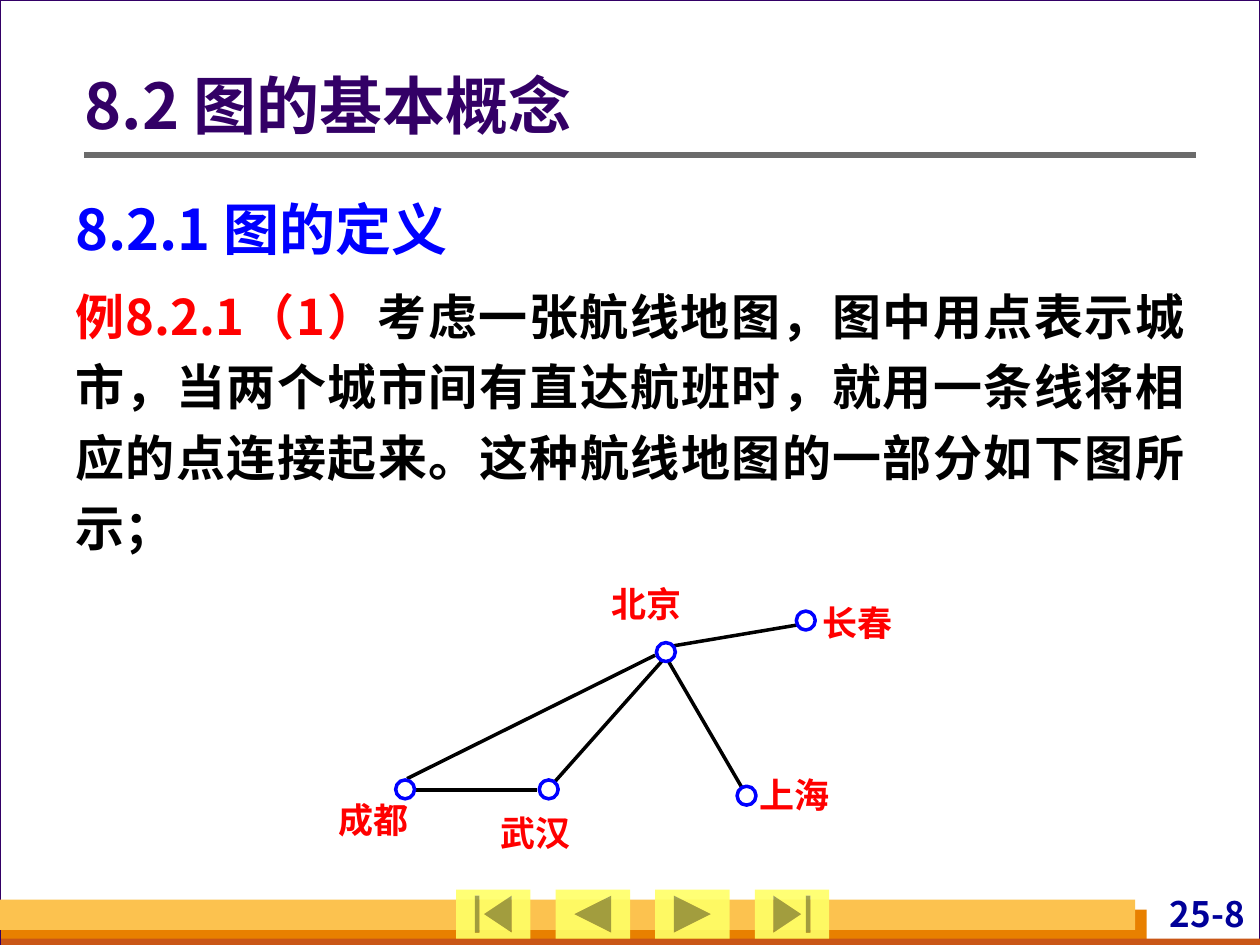
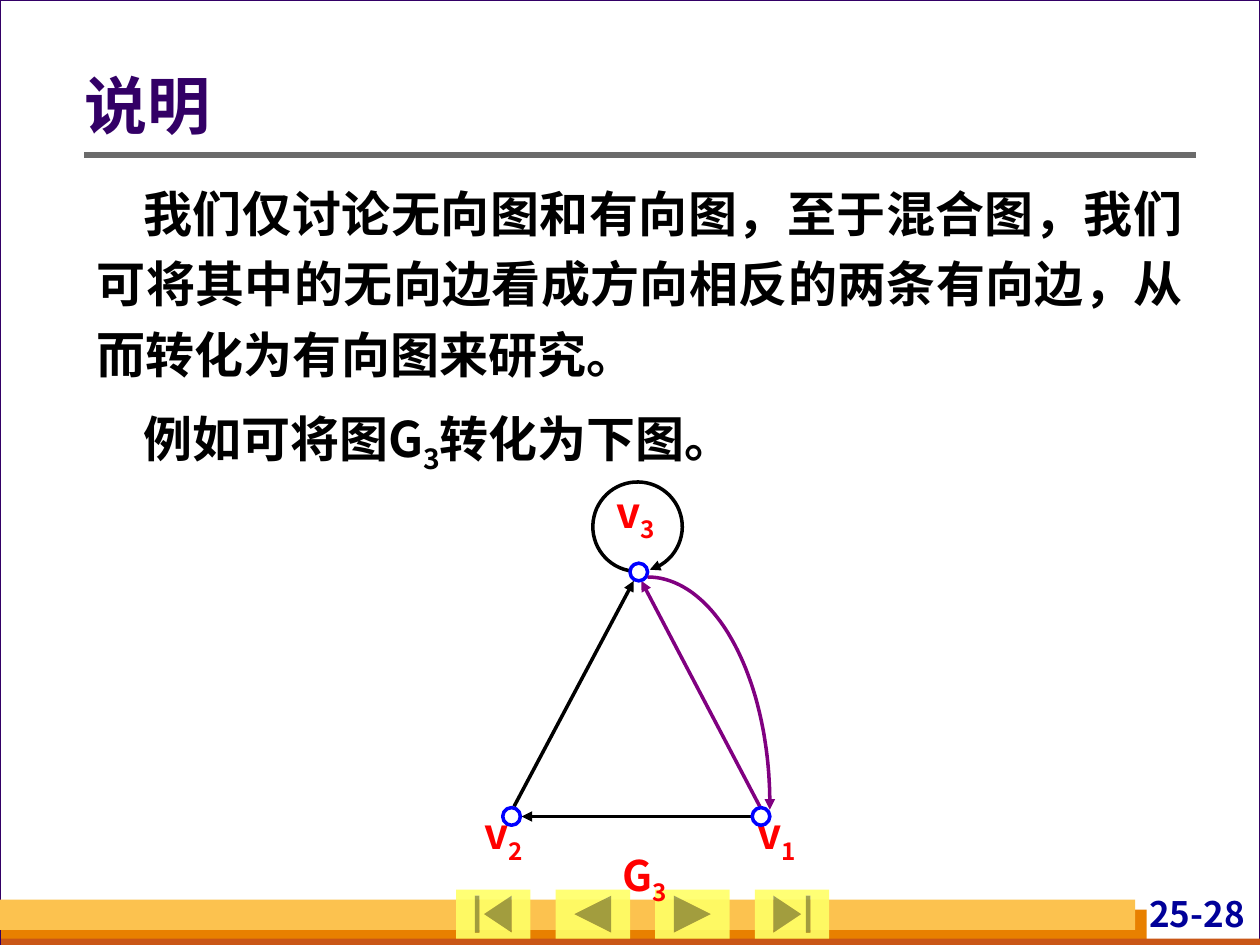
"""Build two slides on graph basics with a shared frame, title style and footer."""
import math
from dataclasses import dataclass

from lxml import etree
from pptx import Presentation
from pptx import util as u
from pptx.dml.color import RGBColor
from pptx.enum import shapes, text
from pptx.oxml.ns import qn

PX = 9144
KIND = shapes.MSO_SHAPE
ALIGN = text.PP_ALIGN


@dataclass(frozen=True)
class Theme:
    """Colours, fonts and type sizes."""
    back: str = "D8DADA"
    white: str = "FFFFFF"
    black: str = "000000"
    plum: str = "330066"
    navy: str = "000099"
    blue: str = "0000FF"
    red: str = "FF0000"
    purple: str = "800080"
    grey: str = "6B6B6B"
    amber: str = "FCC24F"
    orange: str = "E88000"
    rust: str = "C95616"
    lemon: str = "FFFF66"
    sans: str = "Noto Sans CJK SC"
    serif: str = "Times New Roman"
    title: int = 36
    head: int = 32
    body: int = 28
    mark: int = 24
    small: int = 20


T = Theme()


def rgb(code):
    """Turn a hex code into a colour."""
    return RGBColor.from_string(code)


def write(para, words, size=T.body, color=T.black, font=T.sans, base=0):
    """Add one bold run in the given format."""
    run = para.add_run()
    run.text = words
    run.font.size = u.Pt(size)
    run.font.bold = True
    run.font.color.rgb = rgb(color)
    run.font.name = font
    props = run.font._element
    etree.SubElement(props, qn("a:ea"), typeface=T.sans)
    if base:
        props.set("baseline", str(base * 1000))


def sub(name, low, **fmt):
    """Give the runs of a name with a subscript."""
    return [(name, fmt), (low, {**fmt, "base": -25})]


class Deck:
    """Hold the theme and the current slide, and draw each kind of element."""

    def __init__(self):
        """Open a blank deck."""
        self.prs = Presentation()
        self.prs.slide_width = 1000 * PX
        self.prs.slide_height = 750 * PX
        self.page = None

    def box(self, at, paras, pad=(0, 0, 0, 0), align=ALIGN.LEFT, lead=1.0,
            gap=0, dent=0, anchor=text.MSO_ANCHOR.TOP):
        """Place a text box whose paragraphs are lists of runs."""
        frame = self.page.shapes.add_textbox(*(v * PX for v in at)).text_frame
        frame.word_wrap = True
        frame.vertical_anchor = anchor
        (frame.margin_left, frame.margin_top,
         frame.margin_right, frame.margin_bottom) = (v * PX for v in pad)
        for i, runs in enumerate(paras):
            para = frame.add_paragraph() if i else frame.paragraphs[0]
            para.alignment = align
            para.line_spacing = lead
            if i:
                para.space_before = u.Pt(gap)
            if dent:
                para._p.get_or_add_pPr().set("indent", str(dent * PX))
            for words, fmt in runs:
                write(para, words, **fmt)

    def body(self, at, paras, dent=0):
        """Place justified body text."""
        self.box(at, paras, (10, 5, 10, 5), ALIGN.JUSTIFY, 1.2, 7, dent)

    def shape(self, kind, at, fill, line=None, width=2.0, alpha=100):
        """Place a preset shape."""
        item = self.page.shapes.add_shape(kind, *(v * PX for v in at))
        item.shadow.inherit = False
        item.fill.solid()
        item.fill.fore_color.rgb = rgb(fill)
        if alpha < 100:
            tint = next(item.element.spPr.iter(qn("a:srgbClr")))
            etree.SubElement(tint, qn("a:alpha"), val=str(alpha * 1000))
        if line:
            self.stroke(item, line, width)
        else:
            item.line.fill.background()

    def stroke(self, item, color, width=2.0, arrow=False):
        """Set a line's colour, width and end arrow."""
        item.line.color.rgb = rgb(color)
        item.line.width = u.Pt(width)
        if arrow:
            ln = item.element.spPr.find(qn("a:ln"))
            etree.SubElement(ln, qn("a:tailEnd"), type="triangle")

    def line(self, ends, color=T.black, width=2.0, arrow=False):
        """Draw a straight line."""
        item = self.page.shapes.add_connector(
            shapes.MSO_CONNECTOR.STRAIGHT, *(v * PX for v in ends))
        self.stroke(item, color, width, arrow)
        etree.SubElement(item.element.spPr, qn("a:effectLst"))

    def arc(self, mid, radii, start, sweep, color, steps=60):
        """Draw a clockwise elliptic arc that ends in an arrow."""
        turns = [math.radians(start + sweep * i / steps) for i in range(steps + 1)]
        dots = [(round((mid[0] + radii[0] * math.cos(t)) * PX),
                 round((mid[1] + radii[1] * math.sin(t)) * PX)) for t in turns]
        pen = self.page.shapes.build_freeform(*dots[0])
        pen.add_line_segments(dots[1:], close=False)
        item = pen.convert_to_shape()
        item.shadow.inherit = False
        item.fill.background()
        self.stroke(item, color, arrow=True)

    def nodes(self, spots, size):
        """Draw the round nodes of a graph."""
        for x, y in spots:
            self.shape(KIND.OVAL, (x, y, size, size), T.white, T.blue)

    def start(self, title, number):
        """Open a slide with its frame, bands, buttons, number and title."""
        self.page = self.prs.slides.add_slide(self.prs.slide_layouts[6])
        back = self.page.background.fill
        back.solid()
        back.fore_color.rgb = rgb(T.back)
        self.shape(KIND.RECTANGLE, (0, 0, 1000, 750), T.white, T.plum, 0.75)
        for at, color in (((1, 722, 909, 28), T.orange),
                          ((1, 745, 999, 5), T.rust),
                          ((0, 714, 901, 24), T.amber)):
            self.shape(KIND.RECTANGLE, at, color)
        self.box((870, 708, 122, 38),
                 [[(number, dict(size=T.small, color=T.navy))]],
                 (4, 0, 4, 0), ALIGN.RIGHT)
        self.line((67, 123, 949, 123), T.grey, 3)
        for i, kind in enumerate((KIND.ACTION_BUTTON_BEGINNING,
                                  KIND.ACTION_BUTTON_BACK_OR_PREVIOUS,
                                  KIND.ACTION_BUTTON_FORWARD_OR_NEXT,
                                  KIND.ACTION_BUTTON_END)):
            self.shape(kind, (362 + 79 * i, 706, 59, 39), T.lemon, alpha=90)
        self.box((67, 36, 882, 101),
                 [[(title, dict(size=T.title, color=T.plum))]],
                 (0, 5, 10, 5), lead=0.9, anchor=text.MSO_ANCHOR.MIDDLE)


def routes(deck):
    """Draw the slide with the air route map."""
    deck.start("8.2 图的基本概念", "25-8")
    deck.body((50, 139, 900, 308), [
        [("8.2.1 图的定义", dict(size=T.head, color=T.blue))],
        [("例8.2.1（1）", dict(color=T.red)),
         ("考虑一张航线地图，图中用点表示城市，当两个城市间有直达航班时，"
          "就用一条线将相应的点连接起来。这种航线地图的一部分如下图所示；", {})]])
    for city, x, y in (("长春", 653, 477), ("北京", 485, 462), ("成都", 269, 634),
                       ("武汉", 397, 644), ("上海", 603, 614)):
        deck.box((x, y, 79, 33),
                 [[(city, dict(size=T.small, color=T.red, font=T.serif))]],
                 align=ALIGN.JUSTIFY)
    for ends in ((532, 513, 633, 496), (520, 520, 323, 618), (426, 627, 328, 627),
                 (526, 524, 438, 623), (530, 524, 594, 634)):
        deck.line(ends)
    deck.nodes(((314, 619), (521, 510), (632, 485), (585, 624), (428, 619)), 15)


def mixed(deck):
    """Draw the slide that turns a mixed graph into a directed one."""
    deck.start("说明", "25-28")
    deck.body((67, 131, 882, 252), [
        [("我们仅讨论无向图和有向图，至于混合图，我们可将其中的无向边看成"
          "方向相反的两条有向边，从而转化为有向图来研究。", {})],
        [("例如可将图", {}), *sub("G", "3"), ("转化为下图。", {})]], 37)
    deck.arc((506, 418), (35.5, 35.5), 97, 337, T.black)
    for name, low, x, y, wide in (("v", "3", 476, 386, 57), ("G", "3", 476, 674, 71),
                                  ("v", "2", 371, 641, 57), ("v", "1", 588, 641, 57)):
        deck.box((x, y, wide, 46), [sub(name, low, size=T.mark, color=T.red)],
                 align=ALIGN.CENTER)
    for ends, color in (((599, 648, 414, 648), T.black),
                        ((603, 640, 509, 461), T.purple),
                        ((408, 640, 503, 461), T.black)):
        deck.line(ends, color, arrow=True)
    deck.nodes(((500, 447), (399, 641), (597, 641)), 14)
    deck.arc((514, 638), (97, 180), 270, 91.5, T.purple)


def main():
    """Build and save the deck."""
    deck = Deck()
    routes(deck)
    mixed(deck)
    deck.prs.save("out.pptx")


if __name__ == "__main__":
    main()
